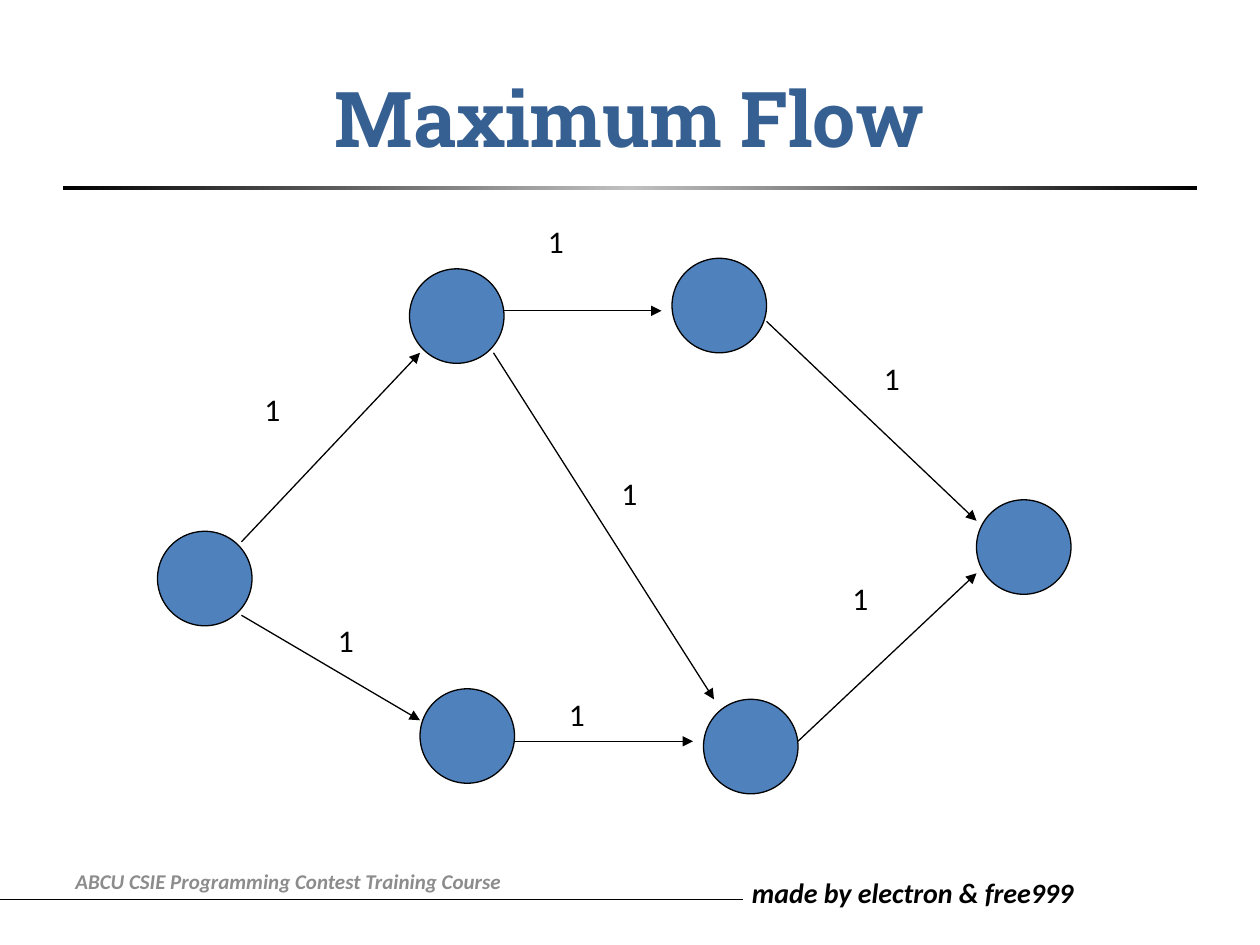
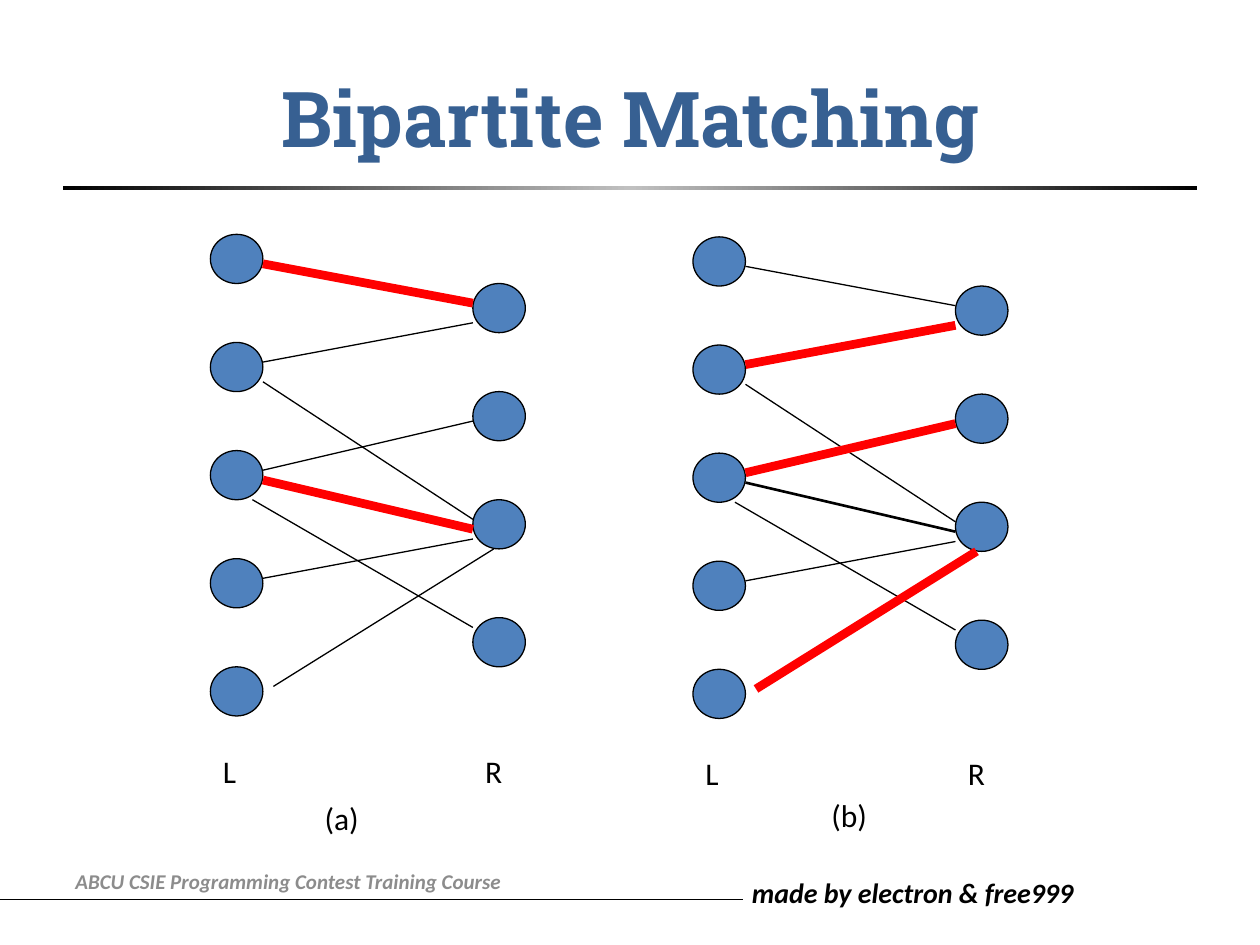
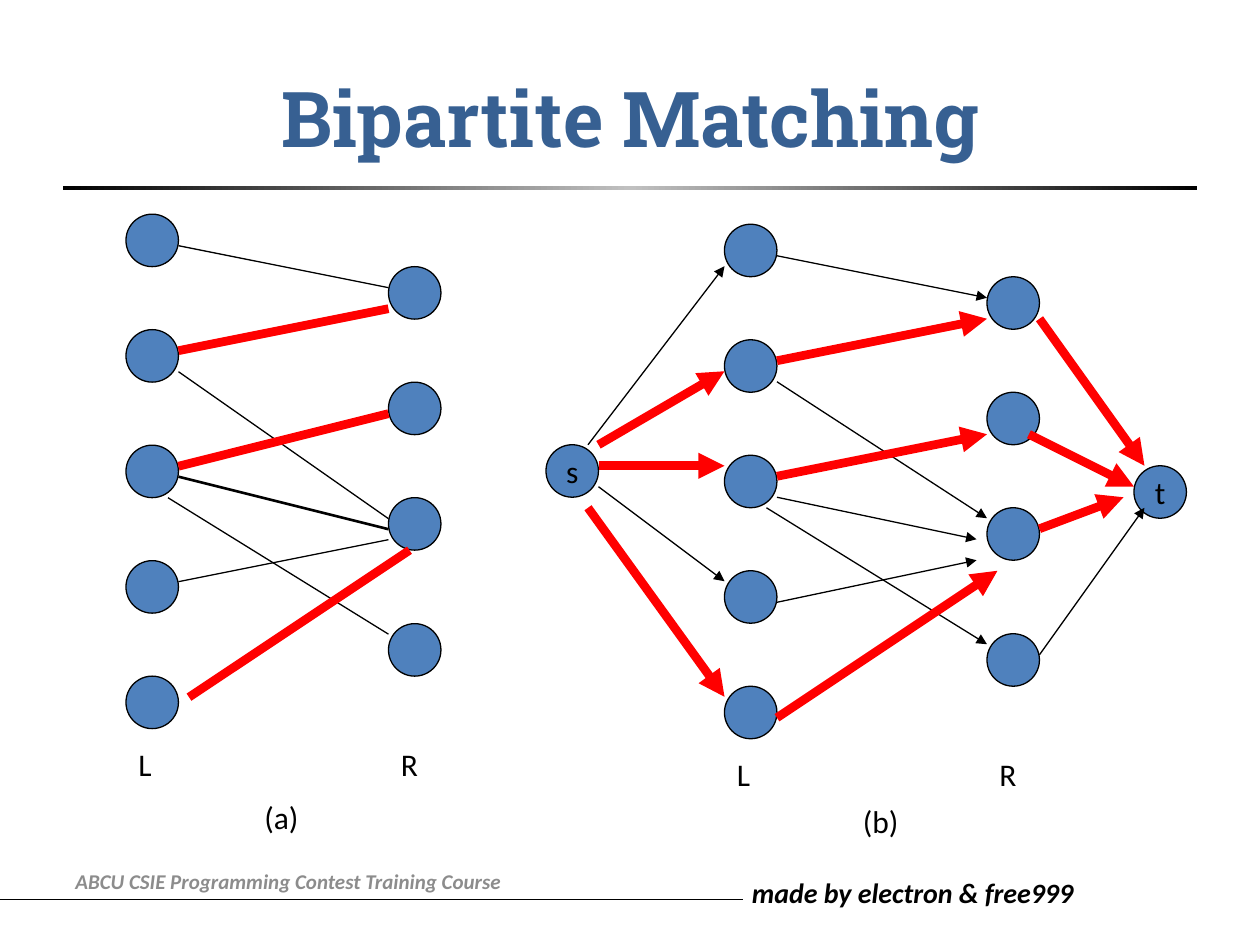
from copy import deepcopy
from dataclasses import dataclass
from typing import NamedTuple

from lxml import etree
from pptx import Presentation
from pptx import util as u
from pptx.dml.color import RGBColor
from pptx.enum import shapes, text
from pptx.oxml import ns

COLORS = {
    "ink": "000000", "node": "4F81BD", "match": "FF0000",
    "title": "376092", "course": "8C8C8C", "silver": "C0C0C0",
}
THIN, MEDIUM, THICK = 0.75, 1.5, 5
NODE = 5       # node size in cells of a bipartite graph
R_COLUMN = 25  # left edge of the right-hand nodes, in cells


class Grid(NamedTuple):
    """Turns columns and rows into lengths, from an origin in inches."""
    left: float
    top: float
    col: float = 1 / 12
    row: float = 1 / 12

    def x(self, column: float) -> int:
        return u.Inches(self.left + column * self.col)

    def y(self, row: float) -> int:
        return u.Inches(self.top + row * self.row)

    def box(self, column: float, row: float, columns: float, rows: float) -> tuple:
        return (self.x(column), self.y(row),
                u.Inches(columns * self.col), u.Inches(rows * self.row))


class Edge(NamedTuple):
    x1: float
    y1: float
    x2: float
    y2: float


class Label(NamedTuple):
    words: str
    column: float
    row: float
    columns: float


@dataclass
class Bipartite:
    grid: Grid
    edges: list[Edge]
    matched: set[int]
    caption: Label
    side_row: float
    medium: frozenset[int] = frozenset()
    arrows: bool = False
    grouped: bool = True


INCHES = Grid(0, 0, 1, 1)


def rgb(name: str) -> RGBColor:
    return RGBColor.from_string(COLORS[name])


# Drawing helpers
def write(frame, words: str, *, size: float = 18, font: str = "Calibri",
          color: str = "ink", bold: bool = False, italic: bool = False,
          align=text.PP_ALIGN.LEFT, anchor=text.MSO_ANCHOR.TOP,
          wrap: bool = True, fit=text.MSO_AUTO_SIZE.NONE) -> None:
    frame.word_wrap = wrap
    frame.auto_size = fit
    frame.vertical_anchor = anchor
    paragraph = frame.paragraphs[0]
    paragraph.alignment = align
    run = paragraph.add_run()
    run.text = words
    run.font.size = u.Pt(size)
    run.font.name = font
    run.font.bold = bold
    run.font.italic = italic
    run.font.color.rgb = rgb(color)


def add_text(parent, box: tuple, words: str, **style) -> None:
    write(parent.add_textbox(*box).text_frame, words, **style)


def add_label(parent, grid: Grid, label: Label) -> None:
    add_text(parent, grid.box(label.column, label.row, label.columns, 6),
             label.words, fit=text.MSO_AUTO_SIZE.SHAPE_TO_FIT_TEXT)


def add_node(parent, grid: Grid, column: float, row: float,
             size: float = NODE, name: str = "") -> None:
    node = parent.add_shape(shapes.MSO_SHAPE.OVAL, *grid.box(column, row, size, size))
    node.shadow.inherit = False
    node.fill.solid()
    node.fill.fore_color.rgb = rgb("node")
    node.line.color.rgb = rgb("ink")
    node.line.width = u.Pt(THIN)
    if name:
        write(node.text_frame, name, align=text.PP_ALIGN.CENTER,
              anchor=text.MSO_ANCHOR.MIDDLE, wrap=False)


def add_edge(parent, grid: Grid, edge: Edge, color: str = "ink",
             width: float = THIN, arrow: bool = False) -> None:
    line = parent.add_connector(
        shapes.MSO_CONNECTOR.STRAIGHT, grid.x(edge.x1), grid.y(edge.y1),
        grid.x(edge.x2), grid.y(edge.y2))
    line.line.color.rgb = rgb(color)
    line.line.width = u.Pt(width)
    properties = line._element.spPr
    if arrow:
        outline = properties.find(ns.qn("a:ln"))
        etree.SubElement(outline, ns.qn("a:tailEnd"), type="triangle")
    etree.SubElement(properties, ns.qn("a:effectLst"))


def add_edges(parent, grid: Grid, edges: list[Edge], matched: set[int],
              medium: frozenset[int] = frozenset(), arrow: bool = False) -> None:
    for index, edge in enumerate(edges):
        if index in matched:
            add_edge(parent, grid, edge, "match", THICK, arrow)
        else:
            add_edge(parent, grid, edge, "ink",
                     MEDIUM if index in medium else THIN, arrow)


def add_bipartite(slide, graph: Bipartite) -> None:
    parent = slide.shapes.add_group_shape().shapes if graph.grouped else slide.shapes
    for position in range(5):
        add_node(parent, graph.grid, 0, 11 * position)
    for row in (5, 16, 27, 39):
        add_node(parent, graph.grid, R_COLUMN, row)
    add_edges(parent, graph.grid, graph.edges, graph.matched, graph.medium, graph.arrows)
    for side, column in (("L", 0), ("R", R_COLUMN)):
        add_label(slide.shapes, graph.grid, Label(side, column, graph.side_row, NODE))
    add_label(slide.shapes, graph.grid, graph.caption)


# Title, title rule and footer of every slide
def add_title_rule(slide) -> None:
    rule = slide.shapes.add_shape(shapes.MSO_SHAPE.RECTANGLE,
                                  *INCHES.box(0.5, 1.48, 9, 0.03))
    rule.shadow.inherit = False
    rule.line.fill.background()
    rule.fill.gradient()
    rule.fill.gradient_angle = 0
    stops = rule._element.xpath(".//a:gsLst")[0]
    stops.insert(1, deepcopy(stops[0]))
    for stop, position, color in zip(rule.fill.gradient_stops, (0, 0.5, 1),
                                     ("ink", "silver", "ink")):
        stop.position = position
        stop.color.rgb = rgb(color)


def new_slide(deck, heading: str):
    slide = deck.slides.add_slide(deck.slide_layouts[5])
    add_edge(slide.shapes, INCHES, Edge(-0.35, 7.14, 5.9, 7.14), width=0.5)
    add_text(slide.shapes, INCHES.box(5.87, 6.9, 2.96, 0.37),
             "made by electron & free999", size=16, bold=True, italic=True)
    add_title_rule(slide)
    title = slide.shapes.title
    title.left, title.top, title.width, title.height = INCHES.box(0.5, 0.3, 9, 1.25)
    write(title.text_frame, heading, size=44, font="Roboto Slab", color="title",
          bold=True, align=text.PP_ALIGN.CENTER, anchor=text.MSO_ANCHOR.MIDDLE)
    add_text(slide.shapes, INCHES.box(0.5, 6.79, 4.66, 0.4),
             "ABCU CSIE Programming Contest Training Course", size=12,
             color="course", bold=True, italic=True, anchor=text.MSO_ANCHOR.MIDDLE)
    return slide


deck = Presentation()
deck.slide_width, deck.slide_height = u.Inches(10), u.Inches(7.5)

# Slide 1: flow network with unit capacities
network = Grid(0, 0.05)
flow = new_slide(deck, "Maximum Flow")
for column, row in ((15, 50), (40, 65), (39, 25), (93, 47), (67, 66), (64, 24)):
    add_node(flow.shapes, network, column, row, size=9)
for pipe in (Edge(23, 51, 40, 33), Edge(23, 58, 40, 68), Edge(48, 29, 63, 29),
             Edge(49, 70, 66, 70), Edge(47, 33, 68, 66), Edge(73, 30, 93, 49),
             Edge(76, 70, 93, 54)):
    add_edge(flow.shapes, network, pipe, arrow=True)
for column, row, columns in ((24, 36, 7), (80, 54, 8), (31, 58, 5), (53, 65, 6),
                             (51, 20, 10), (83, 33, 8), (58, 44, 8)):
    add_label(flow.shapes, network, Label("1", column, row, columns))

# Slide 2: a matching and a larger one
pairs = [Edge(5, 3, 25, 7), Edge(5, 13, 25, 9), Edge(5, 15, 25, 29),
         Edge(5, 24, 25, 19), Edge(5, 25, 25, 30), Edge(4, 27, 25, 40),
         Edge(5, 35, 25, 31), Edge(6, 46, 27, 32)]
first_matching, maximum_matching = {0, 4}, {1, 3, 7}
ROW = 0.078
matching = new_slide(deck, "Bipartite Matching")
add_bipartite(matching, Bipartite(
    Grid(1.67, 1.86, row=ROW), pairs, first_matching,
    Label("(a)", 9.7, 56.8, 7), side_row=52))
add_bipartite(matching, Bipartite(
    Grid(5.5, 1.88, row=ROW), pairs, maximum_matching,
    Label("(b)", 12, 56.3, 7), side_row=52, medium=frozenset({4})))

# Slide 3: the matching as a flow from s to t
reduction = new_slide(deck, "Bipartite Matching")
add_bipartite(reduction, Bipartite(
    Grid(1, 1.7), pairs, maximum_matching,
    Label("(a)", 12, 55, 7), side_row=50, medium=frozenset({4})))

flow_grid = Grid(5.75, 1.78)
directed_pairs = [Edge(5, 3, 25, 7), Edge(5, 13, 25, 9), Edge(5, 15, 25, 28),
                  Edge(5, 24, 25, 20), Edge(5, 26, 24, 30), Edge(4, 27, 25, 40),
                  Edge(5, 36, 24, 32), Edge(5, 47, 26, 33)]
add_bipartite(reduction, Bipartite(
    flow_grid, directed_pairs, maximum_matching, Label("(b)", 12, 54.4, 7),
    side_row=50, arrows=True, grouped=False))
add_node(reduction.shapes, flow_grid, -17, 21, name="s")
add_node(reduction.shapes, flow_grid, 39, 23, name="t")
source_edges = [Edge(-13, 21, 0, 4), Edge(-12, 21, 0, 14), Edge(-12, 23, 0, 23),
                Edge(-12, 25, 0, 34), Edge(-13, 27, 0, 45)]
sink_edges = [Edge(30, 9, 40, 23), Edge(29, 20, 39, 25), Edge(30, 29, 38, 26),
              Edge(30, 41, 40, 27)]
add_edges(reduction.shapes, flow_grid, source_edges, {1, 2, 4}, arrow=True)
add_edges(reduction.shapes, flow_grid, sink_edges, {0, 1, 2}, arrow=True)

deck.save("out.pptx")
